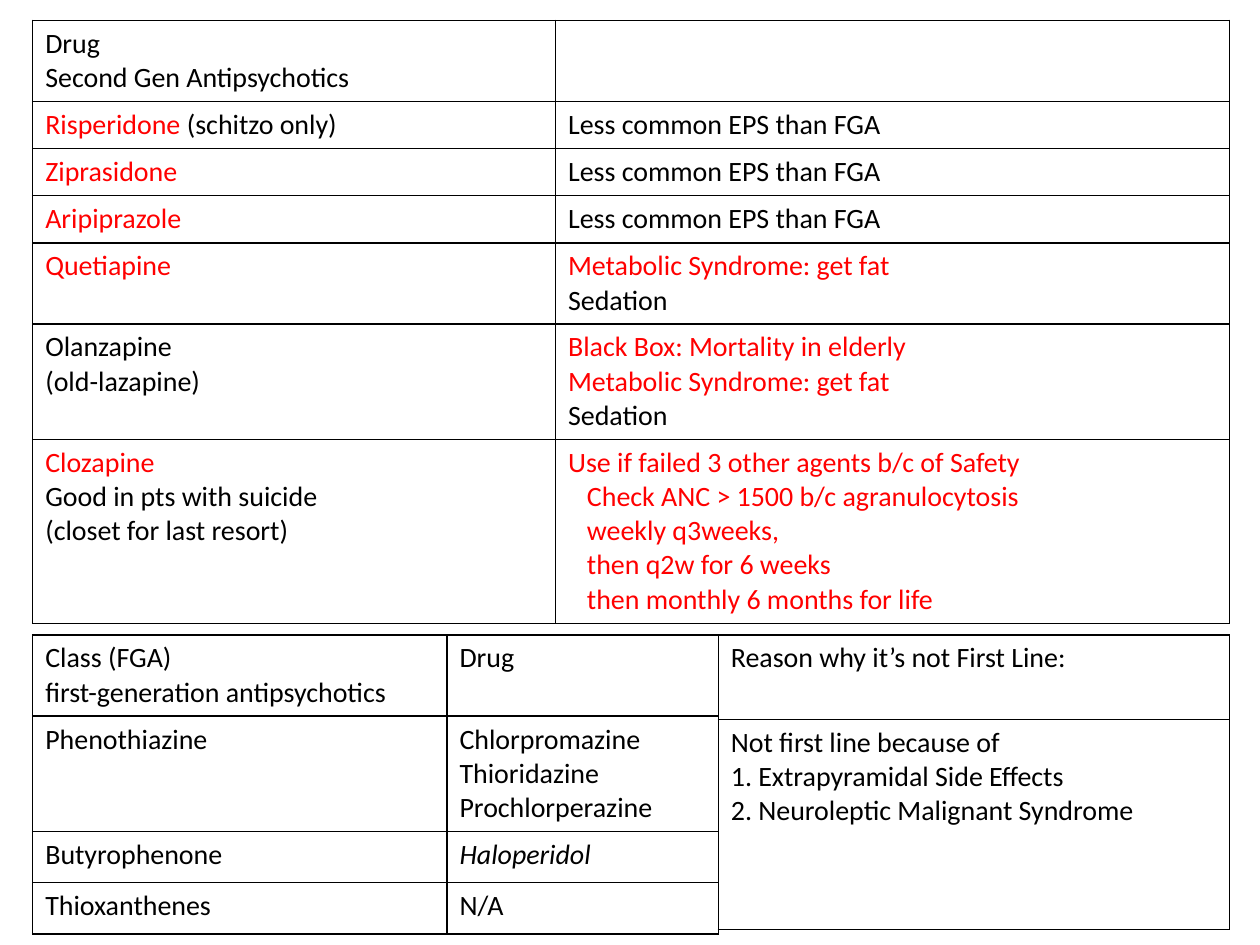
from dataclasses import dataclass

from lxml.etree import SubElement
from pptx import Presentation
from pptx.dml.color import RGBColor
from pptx.oxml.ns import qn
from pptx.util import Cm, Pt

HUES = {"ink": "000000", "red": "FF0000", "page": "FFFFFF"}
FONT = "Calibri"
LEFT = 0.66


@dataclass
class Line:
    text: str
    hue: str = "ink"
    tail: str = ""  # ending in plain ink
    slant: bool = False
    inset: float = 0


def red(text, **more):
    return Line(text, "red", **more)


def tint(font, hue):
    font.color.rgb = RGBColor.from_string(HUES[hue])


def add_edges(cell):
    props = cell._tc.get_or_add_tcPr()
    for side in ("lnL", "lnR", "lnT", "lnB"):
        edge = SubElement(props, qn(f"a:{side}"), w=str(Pt(1)))
        fill = SubElement(edge, qn("a:solidFill"))
        SubElement(fill, qn("a:srgbClr"), val=HUES["ink"])


def write_line(para, line):
    if line.inset:
        para._p.get_or_add_pPr().set("marL", str(Cm(line.inset)))
    font = para.font
    font.name, font.size = FONT, Pt(16)
    font.italic = line.slant
    tint(font, line.hue)
    para.add_run().text = line.text
    if line.tail:
        tail = para.add_run()
        tail.text = line.tail
        tint(tail.font, "ink")


def fill_cell(cell, lines):
    add_edges(cell)
    cell.fill.solid()
    cell.fill.fore_color.rgb = RGBColor.from_string(HUES["page"])
    frame = cell.text_frame
    for i, line in enumerate(lines):
        para = frame.add_paragraph() if i else frame.paragraphs[0]
        write_line(para, Line(line) if isinstance(line, str) else line)


def add_grid(slide, left, top, wides, highs, rows):
    table = slide.shapes.add_table(
        len(highs), len(wides), Cm(left), Cm(top),
        Cm(sum(wides)), Cm(sum(highs))).table
    table.first_row = table.horz_banding = False
    for col, wide in zip(table.columns, wides):
        col.width = Cm(wide)
    for row, high, cells in zip(table.rows, highs, rows):
        row.height = Cm(high)
        for cell, lines in zip(row.cells, cells):
            fill_cell(cell, lines)


def main():
    deck = Presentation()
    deck.slide_width, deck.slide_height = Cm(25.4), Cm(19.05)
    slide = deck.slides.add_slide(deck.slide_layouts[6])

    # Second generation drugs
    less = ["Less common EPS than FGA"]
    fat = [red("Metabolic Syndrome: get fat"), "Sedation"]
    checks = ["Check ANC > 1500 b/c agranulocytosis", "weekly q3weeks,",
              "then q2w for 6 weeks", "then monthly 6 months for life"]
    add_grid(slide, LEFT, 0.41, [10.54, 13.59],
             [1.63, 0.95, 0.95, 0.95, 1.63, 2.32, 3.71], [
        (["Drug", "Second Gen Antipsychotics"], []),
        ([red("Risperidone ", tail="(schitzo only)")], less),
        ([red("Ziprasidone")], less),
        ([red("Aripiprazole")], less),
        ([red("Quetiapine")], fat),
        (["Olanzapine", "(old-lazapine)"],
         [red("Black Box: Mortality in elderly"), *fat]),
        ([red("Clozapine"), "Good in pts with suicide",
          "(closet for last resort)"],
         [red("Use if failed 3 other agents b/c of Safety"),
          *(red(check, inset=0.38) for check in checks)]),
    ])

    # First generation classes
    low = 12.8
    wides = [8.35, 5.47]
    add_grid(slide, LEFT, low, wides, [1.63, 2.33, 1.03, 1.03], [
        (["Class (FGA)", "first-generation antipsychotics"], ["Drug"]),
        (["Phenothiazine"],
         ["Chlorpromazine", "Thioridazine", "Prochlorperazine"]),
        (["Butyrophenone"], [Line("Haloperidol", slant=True)]),
        (["Thioxanthenes"], ["N/A"]),
    ])

    # Why they are not first line
    add_grid(slide, LEFT + sum(wides), low, [10.31], [1.7, 4.24], [
        (["Reason why it’s not First Line:"],),
        (["Not first line because of", "1. Extrapyramidal Side Effects",
          "2. Neuroleptic Malignant Syndrome"],),
    ])

    deck.save("out.pptx")


if __name__ == "__main__":
    main()
